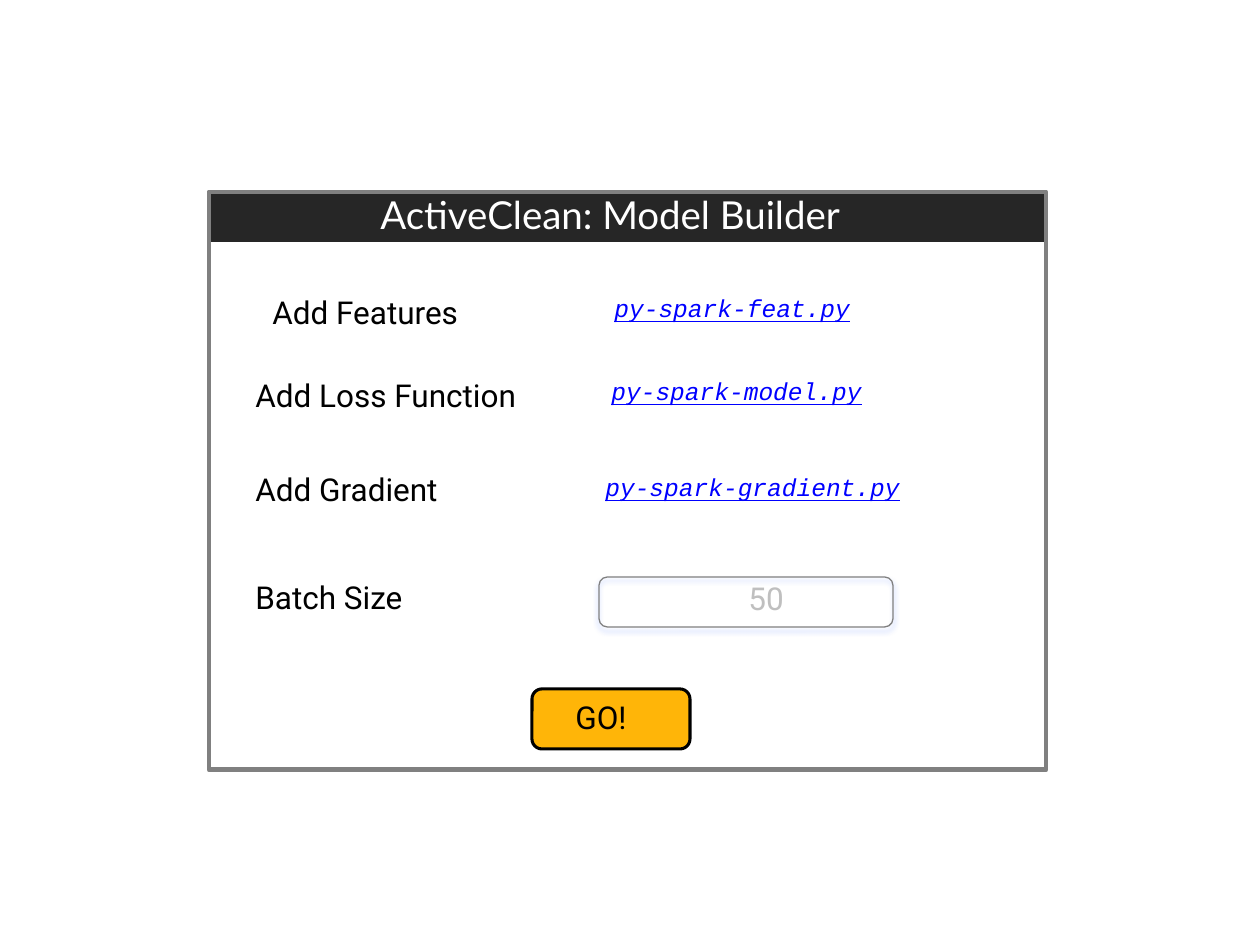
from lxml.etree import SubElement
from pptx import Presentation
from pptx.dml.color import RGBColor
from pptx.enum.shapes import MSO_SHAPE as Shape
from pptx.enum.text import MSO_ANCHOR as Anchor, PP_ALIGN as Align
from pptx.oxml.ns import qn
from pptx.util import Pt

SCALE = 914400 / 126
DARK = RGBColor(0x26, 0x26, 0x26)
GRAY = RGBColor(0x80, 0x80, 0x80)
PALE = RGBColor(0xBF, 0xBF, 0xBF)
GOLD = RGBColor(0xFF, 0xB5, 0x08)
BLUE = RGBColor(0x00, 0x00, 0xFF)
BLACK = RGBColor(0x00, 0x00, 0x00)
WHITE = RGBColor(0xFF, 0xFF, 0xFF)

deck = Presentation()
deck.slide_width = round(1260 * SCALE)
deck.slide_height = round(945 * SCALE)
slide = deck.slides.add_slide(deck.slide_layouts[6])


def add_box(kind, place, fill=None, line=None, width=0):
    """Add a preset shape with an optional fill and outline."""
    box = slide.shapes.add_shape(kind, *[round(n * SCALE) for n in place])
    box.shadow.inherit = False
    if fill is None:
        box.fill.background()
    else:
        box.fill.solid()
        box.fill.fore_color.rgb = fill
    if line is None:
        box.line.fill.background()
    else:
        box.line.color.rgb = line
        box.line.width = Pt(width)
    return box


def add_text(text, place, size=18, face="Roboto", color=BLACK, link=False):
    """Add one line of left-aligned text."""
    box = slide.shapes.add_textbox(*[round(n * SCALE) for n in place])
    frame = box.text_frame
    frame.word_wrap = False
    frame.vertical_anchor = Anchor.TOP
    frame.text = text
    line = frame.paragraphs[0]
    line.alignment = Align.LEFT
    font = line.runs[0].font
    font.size = Pt(size)
    font.name = face
    font.color.rgb = color
    if link:
        font.italic = True
        font.underline = True


# Window and title bar
add_box(Shape.RECTANGLE, (209, 192, 837, 50), fill=DARK)
add_text("ActiveClean: Model Builder", (368, 185, 523, 59), 22, "Lato", WHITE)
add_box(Shape.RECTANGLE, (209, 192, 837, 578), line=GRAY, width=2.75)

# Labels
labels = [
    ("Add Features", 260, 287, 217),
    ("Add Loss Function", 243, 370, 289),
    ("Add Gradient", 243, 464, 213),
    ("Batch Size", 243, 572, 178),
]
for text, left, top, width in labels:
    add_text(text, (left, top, width, 50))

# Script files
files = [
    ("py-spark-feat.py", 602, 287, 270),
    ("py-spark-model.py", 599, 370, 284),
    ("py-spark-gradient.py", 593, 466, 329),
]
for text, left, top, width in files:
    add_text(text, (left, top, width, 43), 14, "Courier New", BLUE, link=True)

# Batch size field with a soft glow below
field = add_box(Shape.ROUNDED_RECTANGLE, (599, 577, 294, 50), line=GRAY, width=0.75)
effects = field.element.spPr.find(qn("a:effectLst"))
glow = SubElement(effects, qn("a:outerShdw"), blurRad=str(Pt(3.1)),
                  dist=str(Pt(1.8)), dir="5400000", rotWithShape="0")
tint = SubElement(glow, qn("a:srgbClr"), val="3366FF")
SubElement(tint, qn("a:alpha"), val="35000")
add_text("50", (736, 573, 83, 50), color=PALE)

# Go button
add_box(Shape.ROUNDED_RECTANGLE, (532, 689, 158, 60), GOLD, BLACK, 1.75)
add_text("GO!", (563, 692, 83, 50))

deck.save("out.pptx")
